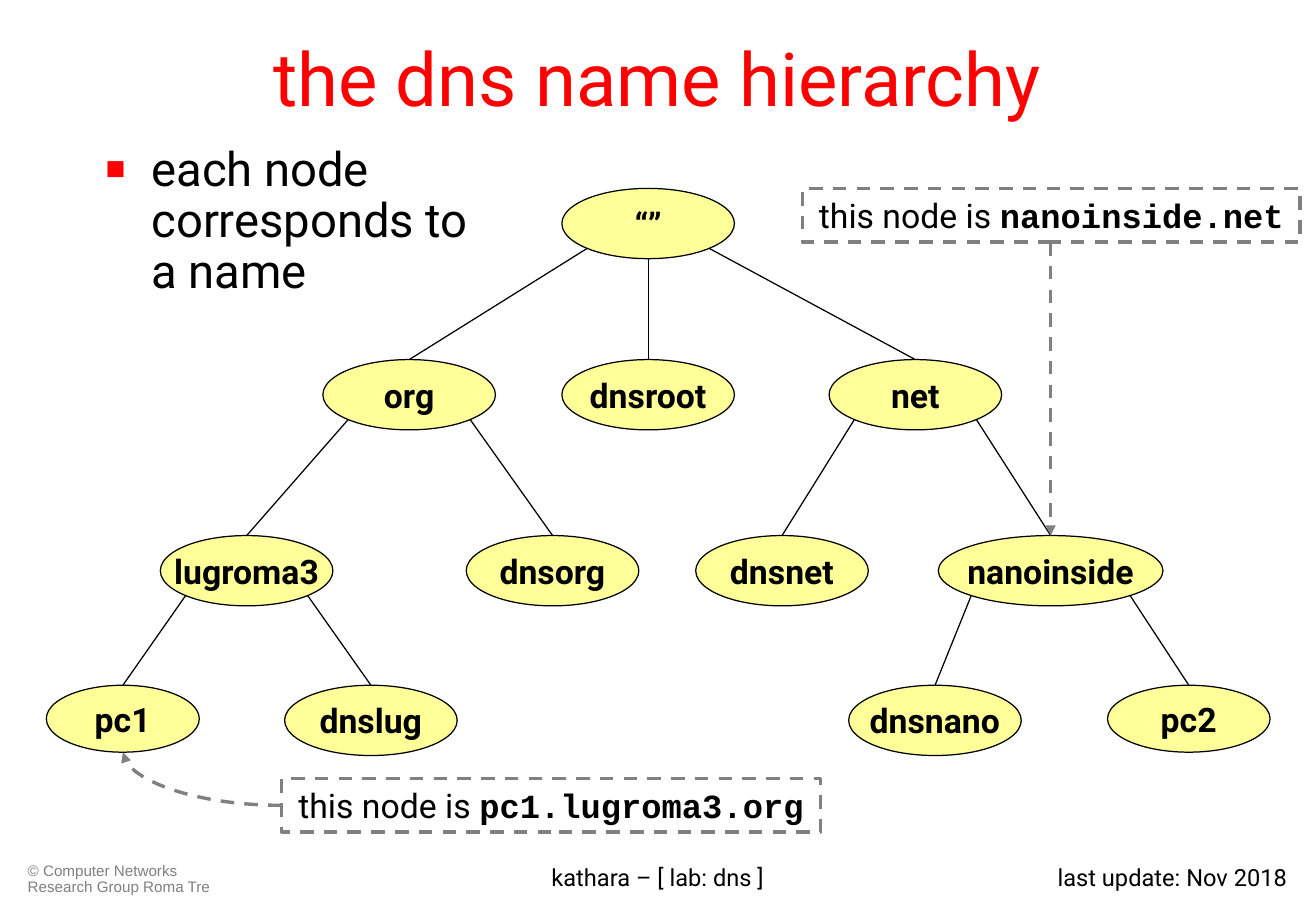
from math import sqrt

from lxml import etree
from pptx import Presentation
from pptx.dml.color import RGBColor
from pptx.enum.dml import MSO_LINE
from pptx.enum.shapes import MSO_CONNECTOR, MSO_SHAPE
from pptx.enum.text import MSO_ANCHOR, MSO_AUTO_SIZE, PP_ALIGN
from pptx.oxml.ns import qn
from pptx.util import Cm, Pt

LEFT, CENTER, RIGHT = PP_ALIGN.LEFT, PP_ALIGN.CENTER, PP_ALIGN.RIGHT
TOP, MIDDLE = MSO_ANCHOR.TOP, MSO_ANCHOR.MIDDLE
OVAL, RECT = MSO_SHAPE.OVAL, MSO_SHAPE.RECTANGLE
STRAIGHT, CURVE = MSO_CONNECTOR.STRAIGHT, MSO_CONNECTOR.CURVE
DASH = MSO_LINE.DASH
FIT = MSO_AUTO_SIZE.SHAPE_TO_FIT_TEXT

COLORS = {"black": "000000", "red": "FF0000", "gray": "808080",
          "node": "FFFF99", "white": "FFFFFF"}
BODY_FONT, CODE_FONT = "Roboto", "Courier New"

LEVELS = [0, 3.58, 7.26, 10.39]
NODE_SIZE = (3.61, 1.47)
NODES = {
    "“”": (12.59, 0, NODE_SIZE, None),
    "org": (7.59, 1, NODE_SIZE, "“”"),
    "dnsroot": (12.59, 1, NODE_SIZE, "“”"),
    "net": (18.18, 1, NODE_SIZE, "“”"),
    "lugroma3": (4.19, 2, NODE_SIZE, "org"),
    "dnsorg": (10.59, 2, NODE_SIZE, "org"),
    "dnsnet": (15.39, 2, NODE_SIZE, "net"),
    "nanoinside": (21.01, 2, (4.7, 1.47), "net"),
    "pc1": (1.6, 3, (3.2, 1.4), "lugroma3"),
    "dnslug": (6.79, 3, NODE_SIZE, "lugroma3"),
    "dnsnano": (18.59, 3, NODE_SIZE, "nanoinside"),
    "pc2": (23.9, 3, (3.4, 1.4), "nanoinside"),
}


def color(name):
    return RGBColor.from_string(COLORS[name])


def apply(target, values):
    for name, value in values.items():
        setattr(target, name, value)


def set_line(line, name, width, dash=None):
    line.color.rgb = color(name)
    apply(line, {"width": Pt(width), "dash_style": dash})


def add_run(p, text, size, name="black", font=BODY_FONT, bold=False):
    r = p.add_run()
    r.text = text
    apply(r.font, {"size": Pt(size), "name": font, "bold": bold})
    r.font.color.rgb = color(name)


def add_text(s, box, text, size, name="black", align=LEFT, anchor=TOP,
             font=BODY_FONT, spacing=1.0):
    tf = s.shapes.add_textbox(*map(Cm, box)).text_frame
    apply(tf, {"word_wrap": True, "vertical_anchor": anchor})
    p = tf.paragraphs[0]
    apply(p, {"alignment": align, "line_spacing": spacing})
    add_run(p, text, size, name, font)
    return p


def add_bullet(s, box, text):
    p = add_text(s, box, text, 28, spacing=0.9)
    pPr = p._p.get_or_add_pPr()
    pPr.set("marL", str(Cm(0.96)))
    pPr.set("indent", str(-Cm(0.96)))
    clr = etree.SubElement(pPr, qn("a:buClr"))
    etree.SubElement(clr, qn("a:srgbClr"), val=COLORS["red"])
    etree.SubElement(pPr, qn("a:buSzPct"), val="70000")
    etree.SubElement(pPr, qn("a:buFont"), typeface="Arial")
    etree.SubElement(pPr, qn("a:buChar"), char="■")


def add_box(s, kind, box, fill, line, runs, auto_size=None):
    sp = s.shapes.add_shape(kind, *map(Cm, box))
    sp.shadow.inherit = False
    sp.fill.solid()
    sp.fill.fore_color.rgb = color(fill)
    set_line(sp.line, *line)
    tf = sp.text_frame
    apply(tf, {"word_wrap": False, "vertical_anchor": MIDDLE,
               "auto_size": auto_size})
    p = tf.paragraphs[0]
    p.alignment = CENTER
    for text, font, bold in runs:
        add_run(p, text, 20, font=font, bold=bold)


def add_link(s, kind, start, end, line, arrow=False):
    c = s.shapes.add_connector(kind, *map(Cm, start + end))
    set_line(c.line, *line)
    if arrow:
        etree.SubElement(c.line._ln, qn("a:tailEnd"), type="triangle")
    etree.SubElement(c._element.spPr, qn("a:effectLst"))
    return c


def add_tree(s, box):
    left, top = box[:2]
    line = ("black", 0.75)
    places = {}
    for label, (x, level, (w, h), parent) in NODES.items():
        cx, y = left + x, top + LEVELS[level]
        places[label] = (cx, y, w, h)
        add_box(s, OVAL, (cx - w / 2, y, w, h), "node", line,
                [(label, BODY_FONT, True)])
        if parent:
            px, py, pw, ph = places[parent]
            side = (cx > px) - (cx < px)
            drop = ph / 2 / sqrt(2) if side else ph / 2
            start = (px + side * pw / 2 / sqrt(2), py + ph / 2 + drop)
            add_link(s, STRAIGHT, start, (cx, y), line)
    return places


def add_callout(s, box, name):
    add_box(s, RECT, box, "white", ("gray", 2, DASH),
            [("this node is ", BODY_FONT, False), (name, CODE_FONT, True)], FIT)


def add_callouts(s, places):
    line = ("gray", 2, DASH)
    x, y, w, h = box = (16.79, 3.94, 10.41, 1.12)
    add_callout(s, box, "nanoinside.net")
    node_x, node_y = places["nanoinside"][:2]
    add_link(s, STRAIGHT, (node_x, y + h), (node_x, node_y), line, True)

    x, y, w, h = box = (5.89, 16.28, 11.28, 1.12)
    add_callout(s, box, "pc1.lugroma3.org")
    node_x, node_y, _, node_h = places["pc1"]
    c = add_link(s, CURVE, (node_x, node_y + node_h), (x, y + h / 2), line, True)
    spPr = c._element.spPr
    spPr.find(qn("a:prstGeom")).set("prst", "curvedConnector2")
    spPr.find(qn("a:xfrm")).set("rot", "10800000")


def add_footer(s, box):
    x, y, w, h = box
    add_text(s, (x, y, 4.78, h), "© Computer Networks Research Group Roma Tre",
             9, "gray", font="Arial", spacing=0.9)
    add_text(s, (x + 6.71, y, 13.44, h), "kathara – [ lab: dns ]", 14,
             align=CENTER)
    add_text(s, (x + w - 6.27, y, 6.27, h), "last update: Nov 2018", 14,
             align=RIGHT)


def main():
    prs = Presentation()
    apply(prs, {"slide_width": Cm(27.53), "slide_height": Cm(19.05)})
    s = prs.slides.add_slide(prs.slide_layouts[6])
    add_footer(s, (0.33, 17.93, 26.85, 0.91))
    add_text(s, (1.37, 0.53, 24.77, 2.16), "the dns name hierarchy", 44, "red",
             CENTER, MIDDLE)
    add_bullet(s, (1.96, 2.92, 8.46, 3.61), "each node corresponds to a name")
    places = add_tree(s, (0.97, 3.94, 25.6, 11.86))
    add_callouts(s, places)
    prs.save("out.pptx")


if __name__ == "__main__":
    main()
